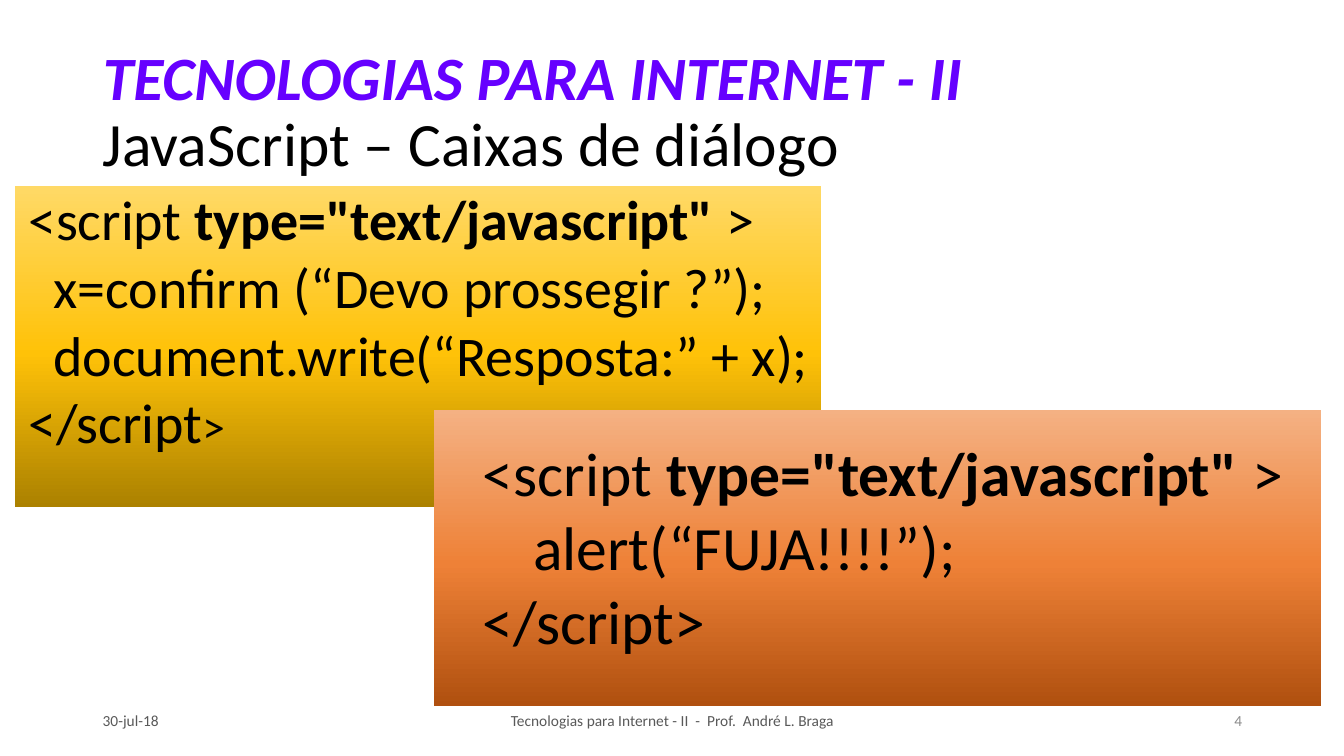
import pptx
import pptx.util
import pptx.dml.color
import pptx.enum.shapes
import pptx.enum.text
import pptx.oxml
import pptx.oxml.ns
from dataclasses import dataclass

Inches = pptx.util.Inches
Align = pptx.enum.text.PP_ALIGN
Anchor = pptx.enum.text.MSO_ANCHOR


@dataclass(frozen=True)
class Theme:
    font: str = "Calibri"
    ink: str = "000000"
    violet: str = "6600FF"
    gray: str = "595959"
    pale: str = "8C8C8C"
    gold: tuple = ((0, "AB8100"), (48, "FFC208"), (100, "FFD966"))
    rust: tuple = ((0, "B0500F"), (48, "EE8137"), (100, "F4B183"))
    head: float = 44
    code: float = 40
    tail: float = 32.3
    foot: float = 11


THEME = Theme()
OPEN = [("<script", {}), (' type="text/javascript" ', {"bold": True}), (">", {})]


def place(shape, box):
    shape.left, shape.top, shape.width, shape.height = [Inches(n) for n in box]
    return shape


def style(run, size, color=THEME.ink, bold=False, italic=False):
    font = run.font
    font.name, font.size = THEME.font, pptx.util.Pt(size)
    font.bold, font.italic = bold, italic
    font.color.rgb = pptx.dml.color.RGBColor.from_string(color)


def write(shape, lines, align=Align.LEFT, anchor=Anchor.TOP, space=None,
          before=0, hang=None, **look):
    """Each line is a list of (text, format) runs; a None run breaks the line."""
    frame = shape.text_frame
    frame.word_wrap = True
    frame.auto_size = pptx.enum.text.MSO_AUTO_SIZE.NONE
    frame.vertical_anchor = anchor
    for i, line in enumerate(lines):
        para = frame.add_paragraph() if i else frame.paragraphs[0]
        para.alignment, para.line_spacing = align, space
        para.space_before = pptx.util.Pt(before if i else 0)
        if hang is not None:
            props = para._p.get_or_add_pPr()
            props.set("marL", str(Inches(hang)))
            props.set("indent", str(-Inches(hang)))
            props.append(pptx.oxml.parse_xml(
                f'<a:buNone {pptx.oxml.ns.nsdecls("a")}/>'))
        for part in line:
            if part is None:
                para.add_line_break()
                continue
            run = para.add_run()
            run.text = part[0]
            style(run, **{**look, **part[1]})


def panel(slide, box, stops):
    kind = pptx.enum.shapes.MSO_SHAPE.FLOWCHART_PROCESS
    shape = slide.shapes.add_shape(kind, *[Inches(n) for n in box])
    shape.shadow.inherit = False
    shape.line.fill.background()
    # Three-stop gradient, running from bottom to top
    marks = "".join(f'<a:gs pos="{pos * 1000}"><a:srgbClr val="{color}"/></a:gs>'
                    for pos, color in stops)
    fill = pptx.oxml.parse_xml(
        f'<a:gradFill {pptx.oxml.ns.nsdecls("a")} rotWithShape="1"><a:gsLst>{marks}'
        '</a:gsLst><a:lin ang="16200000" scaled="0"/></a:gradFill>')
    shape._element.spPr.find(pptx.oxml.ns.qn("a:prstGeom")).addnext(fill)
    return shape


def title(slide, box):
    lines = [[("TECNOLOGIAS PARA INTERNET - II",
               {"color": THEME.violet, "bold": True, "italic": True}),
              None, ("JavaScript – Caixas de diálogo", {})]]
    write(place(slide.shapes.title, box), lines, anchor=Anchor.MIDDLE,
          space=0.9, size=THEME.head)


def confirm(slide, box):
    x, y, wide, high = box
    back = panel(slide, box, THEME.gold)
    body = place(slide.placeholders[1], (x + 0.03, y + 0.06, wide + 0.26, high - 0.33))
    # The panel lies behind the placeholders
    slide.shapes.title._element.addprevious(back._element)
    lines = [OPEN,
             [("\tx=confirm (“Devo prossegir ?”);", {})],
             [("\tdocument.write(“Resposta:” + x);", {})],
             [("</script", {}), (">", {"size": THEME.tail})]]
    write(body, lines, space=0.8, before=10, hang=0.25, size=THEME.code)


def alert(slide, box):
    x, y, wide, high = box
    panel(slide, box, THEME.rust)
    spot = (x + 0.39, y + 0.2, wide - 0.21, high - 0.61)
    text = slide.shapes.add_textbox(*[Inches(n) for n in spot])
    lines = [OPEN, [("\talert(“FUJA!!!!”);", {})], [("</script>", {})]]
    write(text, lines, size=THEME.head)


def footer(slide, box):
    x, y, wide, high = box
    side, mid = 3, 4.5
    cells = [
        (x, side, "30-jul-18", Align.LEFT, THEME.gray),
        (x + (wide - mid) / 2, mid,
         "Tecnologias para Internet - II  -  Prof.  André L. Braga",
         Align.CENTER, THEME.gray),
        (x + wide - side, side, "4", Align.RIGHT, THEME.pale),
    ]
    for left, span, words, align, color in cells:
        text = slide.shapes.add_textbox(*[Inches(n) for n in (left, y, span, high)])
        write(text, [[(words, {})]], align=align, anchor=Anchor.MIDDLE,
              size=THEME.foot, color=color)


def main():
    deck = pptx.Presentation()
    deck.slide_width, deck.slide_height = Inches(13.33), Inches(7.5)
    slide = deck.slides.add_slide(deck.slide_layouts[1])
    title(slide, (0.92, 0.4, 11.5, 1.45))
    confirm(slide, (0.15, 1.85, 7.99, 3.18))
    footer(slide, (0.92, 6.95, 11.5, 0.4))
    alert(slide, (4.3, 4.07, 8.8, 2.93))
    deck.save("out.pptx")


if __name__ == "__main__":
    main()
